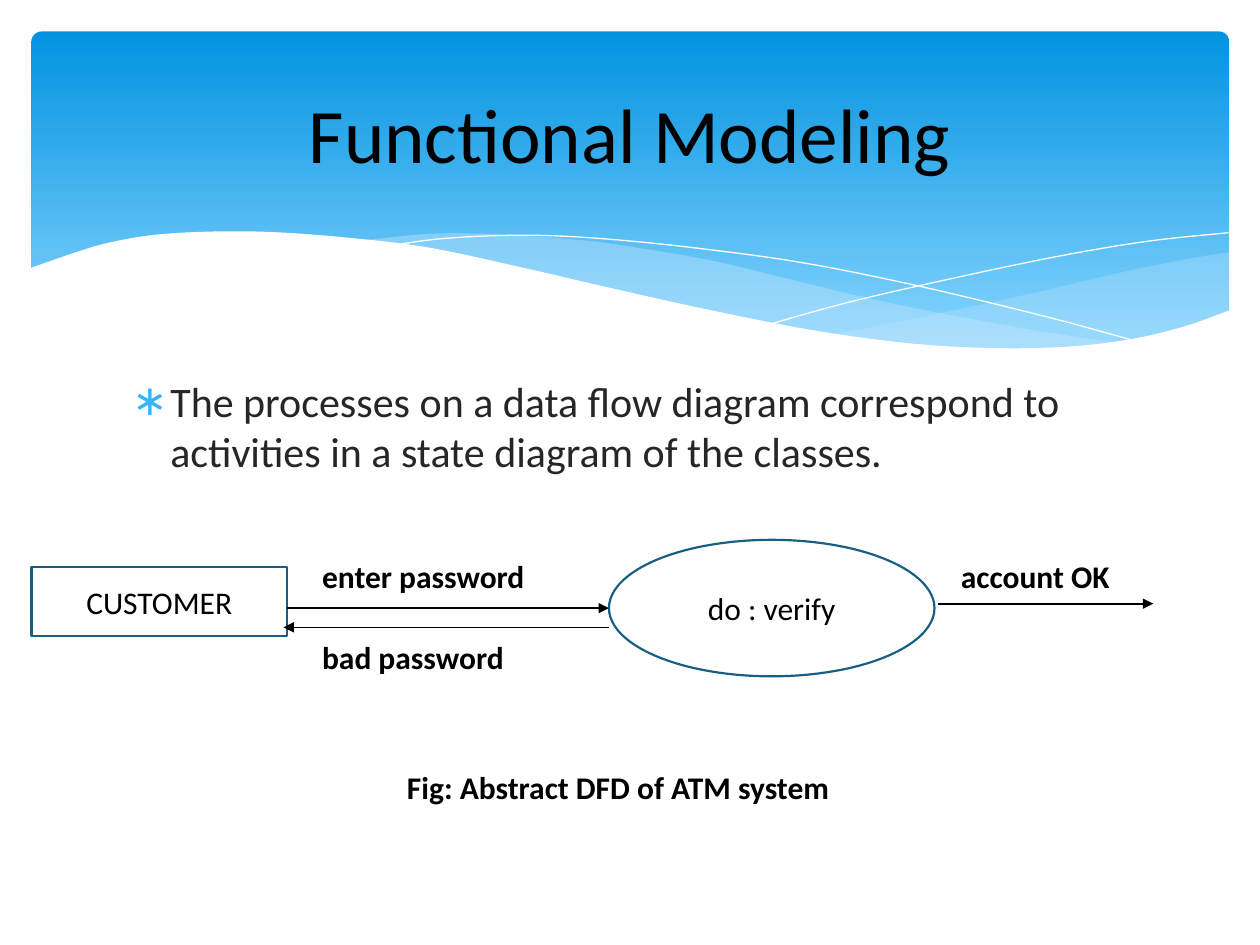
from dataclasses import dataclass
from typing import Optional

import pptx
import pptx.dml.color
import pptx.enum.dml
import pptx.enum.shapes
import pptx.enum.text
import pptx.oxml
import pptx.oxml.ns
import pptx.util

Pt = pptx.util.Pt
RGBColor = pptx.dml.color.RGBColor
ALIGN = pptx.enum.text.PP_ALIGN
ANCHOR = pptx.enum.text.MSO_ANCHOR
FIT = pptx.enum.text.MSO_AUTO_SIZE
PRESET = pptx.enum.shapes.MSO_SHAPE

BLACK = RGBColor(0x00, 0x00, 0x00)
WHITE = RGBColor(0xFF, 0xFF, 0xFF)
BODY_GREY = RGBColor(0x26, 0x26, 0x26)
OUTLINE = RGBColor(0x19, 0x5F, 0x84)
BANNER_TOP = RGBColor(0x02, 0x93, 0xE0)
BANNER_BOTTOM = RGBColor(0x83, 0xD3, 0xFE)
WAVE_BLUE = RGBColor(0xC6, 0xE7, 0xFC)
BULLET_BLUE = RGBColor(0x31, 0xB6, 0xFD)
FONT = "Calibri"
CURVE_STEPS = 6


@dataclass
class Wave:
    """A smooth outline through the points of each edge, in points."""
    edges: list
    fill: Optional[RGBColor] = None
    opacity: int = 100
    corners: tuple = ()


@dataclass
class Label:
    text: str
    left: float
    top: float
    width: float


@dataclass
class Flow:
    start: float
    end: float
    y: float
    arrow: str  # headEnd or tailEnd


@dataclass
class Node:
    text: str
    preset: int
    box: tuple
    fill: Optional[RGBColor] = None


WAVES = [
    Wave([[(703, 144), (673, 149), (641.5, 155.5), (599, 165.5), (561, 174), (508, 185), (476, 191)],
          [(476, 191), (508, 195), (545, 198.7), (578, 200), (608, 199.5), (634, 196.5),
           (657, 192), (678, 186.5), (703, 178)]], WAVE_BLUE, 29),
    Wave([[(643, 196.5), (581, 187), (508, 173), (453, 160), (409.5, 149.5), (370, 142.5),
           (335, 137.5), (287, 134), (248, 133.5), (206, 137.5)],
          [(206, 137.5), (246, 143), (291, 152), (323, 160), (382, 173), (433, 183.5),
           (479, 191.5), (520, 196), (557, 199.5), (589, 200), (617, 199), (643, 196.5)]],
         WAVE_BLUE, 40),
    Wave([[(222.5, 140.5), (248, 136.8), (279, 134.8), (312, 134.6), (352, 137), (400, 142),
           (458, 150), (523, 163), (598, 181), (653, 196)]]),
    Wave([[(441, 185), (484, 173), (538, 160.5), (602, 147), (655, 138), (702, 133)]]),
    Wave([[(703.5, 177), (677, 186.5), (647, 193.7), (612, 198), (571, 199), (523, 196.5),
           (466, 189), (400, 176), (342, 163), (301, 153.5), (245, 141.5), (195, 135.5),
           (152, 132.5), (116, 132.5), (86, 134.5), (61, 139), (42.5, 144.5), (16.5, 153.5)]],
         WHITE, corners=((16.5, 237), (703.5, 237))),
]
NODES = [
    Node("CUSTOMER", PRESET.RECTANGLE, (18, 324, 146, 39.5)),
    Node("do : verify", PRESET.OVAL, (348, 308.5, 186, 78), WHITE),
]
FLOWS = [
    Flow(164, 348, 347.5, "tailEnd"),
    Flow(162, 348, 358.5, "headEnd"),
    Flow(536, 659, 345, "tailEnd"),
]
LABELS = [
    Label("enter password", 177, 315, 136),
    Label("bad password", 177, 361, 123),
    Label("account OK", 542, 315, 103),
    Label("Fig: Abstract DFD of ATM system", 225.5, 435.5, 268.5),
]


def add_xml(parent, tag: str, **attributes):
    child = pptx.oxml.parse_xml(f"<a:{tag} {pptx.oxml.ns.nsdecls('a')}/>")
    for key, value in attributes.items():
        child.set(key, str(value))
    parent.append(child)
    return child


def write(frame, text: str, *, size: float = 18, color: RGBColor = BLACK, bold: bool = False,
          align=ALIGN.LEFT, anchor=ANCHOR.TOP, wrap: bool = True, fit=FIT.NONE):
    frame.word_wrap = wrap
    frame.auto_size = fit
    frame.vertical_anchor = anchor
    paragraph = frame.paragraphs[0]
    paragraph.alignment = align
    run = paragraph.add_run()
    run.text = text
    run.font.name, run.font.size, run.font.bold = FONT, Pt(size), bold
    run.font.color.rgb = color
    return paragraph


def place(shape, left: float, top: float, width: float, height: float) -> None:
    shape.left, shape.top, shape.width, shape.height = map(Pt, (left, top, width, height))


def smooth(knots: list) -> list:
    """Catmull-Rom curve through the knots."""
    padded = [knots[0], *knots, knots[-1]]
    curve = [knots[0]]
    for a, b, c, d in zip(padded, padded[1:], padded[2:], padded[3:]):
        for step in range(1, CURVE_STEPS + 1):
            t = step / CURVE_STEPS
            curve.append(tuple(
                q + t / 2 * (r - p + t * (2 * p - 5 * q + 4 * r - s + t * (3 * (q - r) + s - p)))
                for p, q, r, s in zip(a, b, c, d)))
    return curve


def draw_wave(shapes, wave: Wave) -> None:
    outline = [point for edge in wave.edges for point in smooth(edge)] + list(wave.corners)
    points = [(Pt(x), Pt(y)) for x, y in outline]
    builder = shapes.build_freeform(*points[0])
    builder.add_line_segments(points[1:], close=wave.fill is not None)
    shape = builder.convert_to_shape()
    shape.shadow.inherit = False
    if wave.fill is None:
        shape.fill.background()
        shape.line.color.rgb = WHITE
        shape.line.width = Pt(0)
        return
    shape.line.fill.background()
    shape.fill.solid()
    shape.fill.fore_color.rgb = wave.fill
    if wave.opacity < 100:
        color = shape.element.spPr.find(pptx.oxml.ns.qn("a:solidFill"))[0]
        add_xml(color, "alpha", val=wave.opacity * 1000)


def draw_banner(shapes) -> None:
    banner = shapes.add_shape(PRESET.ROUNDED_RECTANGLE, Pt(18), Pt(18), Pt(684.5), Pt(194.5))
    banner.adjustments[0] = 0.03
    banner.shadow.inherit = False
    banner.line.fill.background()
    banner.fill.gradient()
    banner.fill.gradient_angle = 270
    stops = ((0, BANNER_TOP), (0.9, BANNER_BOTTOM))
    for stop, (position, color) in zip(banner.fill.gradient_stops, stops):
        stop.position = position
        stop.color.rgb = color


def draw_node(shapes, node: Node) -> None:
    shape = shapes.add_shape(node.preset, *map(Pt, node.box))
    shape.shadow.inherit = False
    if node.fill is None:
        shape.fill.background()
    else:
        shape.fill.solid()
        shape.fill.fore_color.rgb = node.fill
    shape.line.color.rgb = OUTLINE
    shape.line.width = Pt(1.25)
    write(shape.text_frame, node.text, align=ALIGN.CENTER, anchor=ANCHOR.MIDDLE)


def draw_flow(shapes, flow: Flow) -> None:
    line = shapes.add_connector(pptx.enum.shapes.MSO_CONNECTOR.STRAIGHT,
                                Pt(flow.start), Pt(flow.y), Pt(flow.end), Pt(flow.y))
    line.line.color.rgb = BLACK
    line.line.width = Pt(1)
    add_xml(line.line._get_or_add_ln(), flow.arrow, type="triangle")
    add_xml(line.element.spPr, "effectLst")


def draw_label(shapes, label: Label) -> None:
    box = shapes.add_textbox(Pt(label.left), Pt(label.top), Pt(label.width), Pt(29))
    write(box.text_frame, label.text, bold=True, wrap=False, fit=FIT.SHAPE_TO_FIT_TEXT)


def main() -> None:
    deck = pptx.Presentation()
    deck.slide_width, deck.slide_height = Pt(720), Pt(540)
    slide = deck.slides.add_slide(deck.slide_layouts[1])
    shapes = slide.shapes
    title, body = shapes.title, slide.placeholders[1]

    # Banner and waves, behind the placeholders
    draw_banner(shapes)
    for wave in WAVES:
        draw_wave(shapes, wave)
    for placeholder in (body, title):
        placeholder.element.getparent().append(placeholder.element)

    # Title and bullet
    place(title, 36, 26.5, 648, 98.5)
    write(title.text_frame, "Functional Modeling", size=44, align=ALIGN.CENTER, anchor=ANCHOR.MIDDLE)
    place(body, 68.5, 211, 583, 271.5)
    statement = write(body.text_frame, "The processes on a data flow diagram correspond to "
                      "activities in a state diagram of the classes.", size=24, color=BODY_GREY)
    statement.space_before = Pt(0)
    bullet = statement._p.get_or_add_pPr()
    bullet.set("marL", str(Pt(21.6)))
    bullet.set("indent", str(-Pt(21.6)))
    add_xml(add_xml(bullet, "buClr"), "srgbClr", val=BULLET_BLUE)
    add_xml(bullet, "buFont", typeface=FONT)
    add_xml(bullet, "buChar", char="∗")

    # Data flow diagram
    for node in NODES:
        draw_node(shapes, node)
    for flow in FLOWS:
        draw_flow(shapes, flow)
    for label in LABELS:
        draw_label(shapes, label)

    deck.save("out.pptx")


if __name__ == "__main__":
    main()
